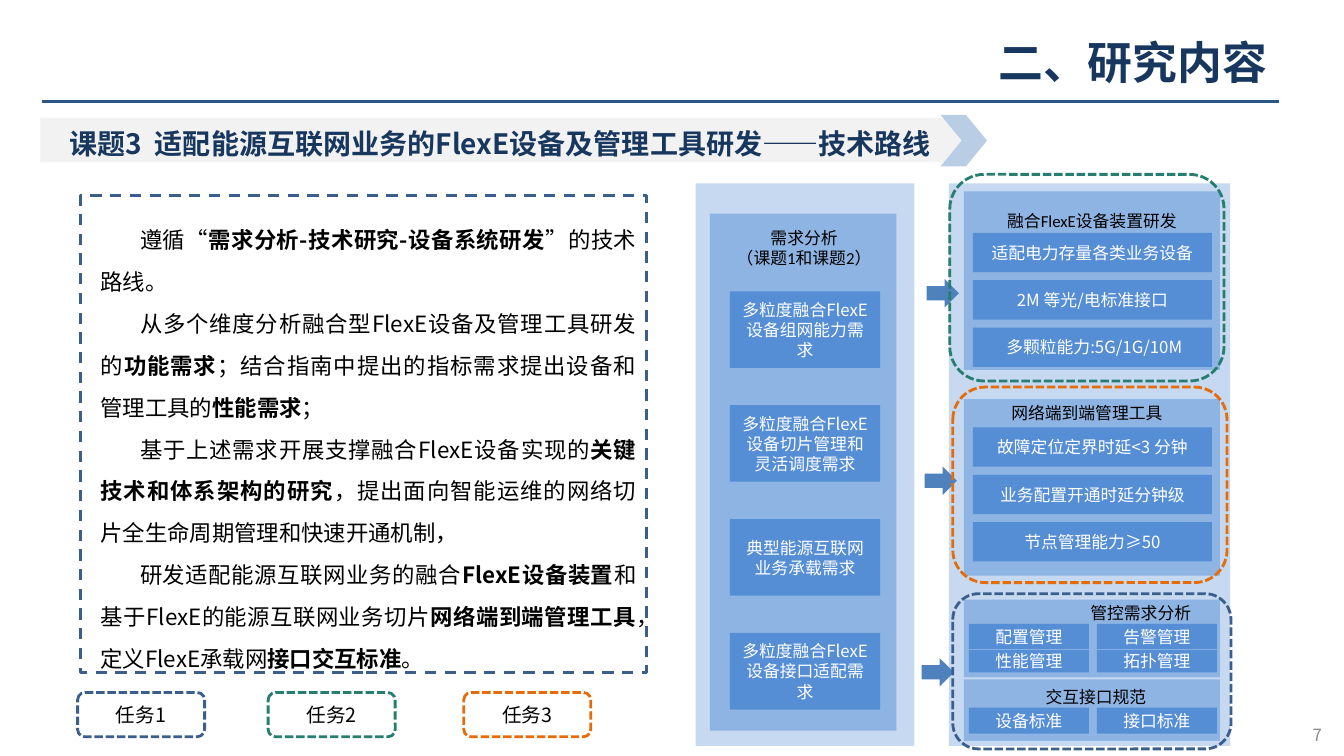
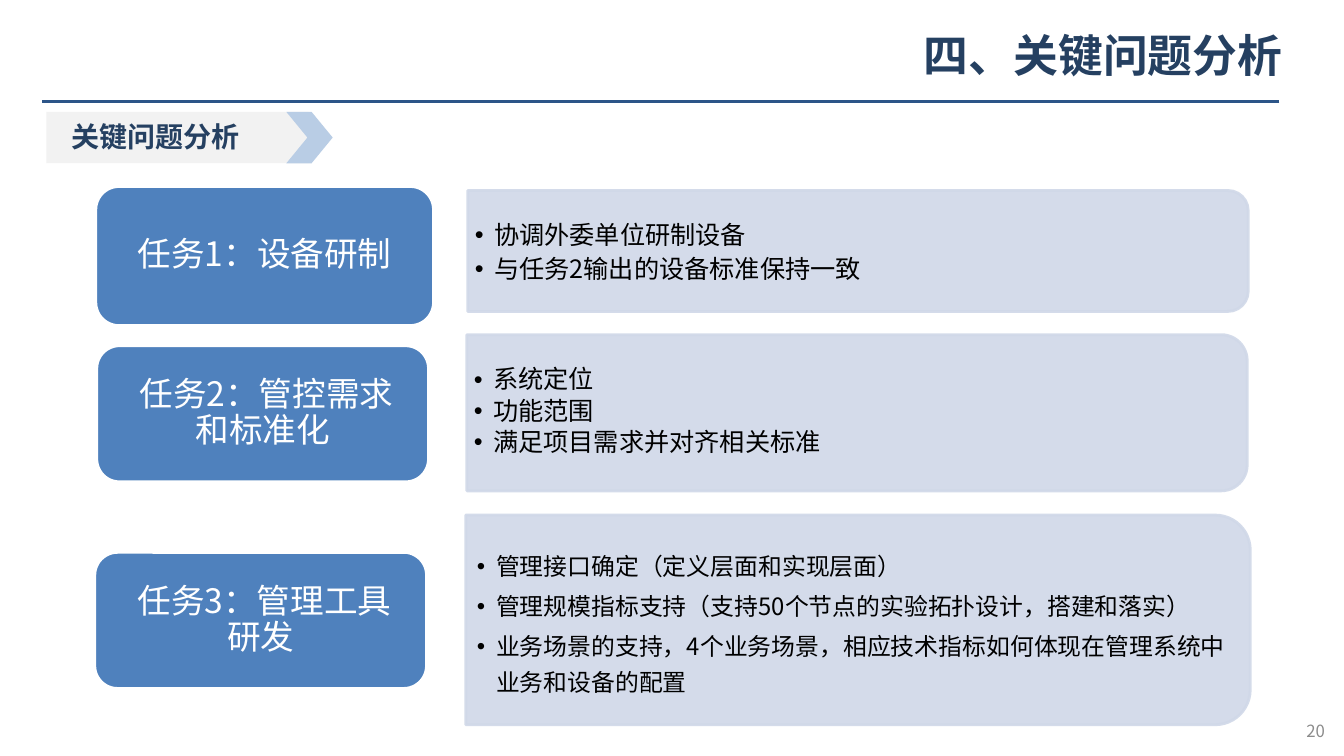
"""Builds two project slides on research content and key issues."""
from lxml import etree
from pptx import Presentation
from pptx.dml.color import RGBColor
from pptx.enum.dml import MSO_LINE
from pptx.enum.shapes import MSO_CONNECTOR, MSO_SHAPE as SHAPE
from pptx.enum.text import MSO_ANCHOR as ANCHOR, PP_ALIGN as ALIGN
from pptx.oxml.ns import qn
from pptx.util import Inches, Pt

COLORS = {
    "navy": "17375E", "slate": "254061", "rule": "2C5588", "band": "F2F2F2",
    "chevron": "B9CDE5", "panel": "C6D9F1", "block": "8EB4E3", "item": "558ED5",
    "accent": "4F81BD", "detail": "D0D8E8", "task1": "3A5F8C", "task2": "257E6F",
    "task3": "E46C0A", "number": "8C8C8C", "black": "000000", "white": "FFFFFF",
}
CJK = "Noto Sans CJK SC"
LATIN = "Calibri"


def rgb(name):
    return RGBColor.from_string(COLORS[name])


class Deck:
    def __init__(self):
        self.prs = Presentation()
        self.prs.slide_width, self.prs.slide_height = Inches(13.33), Inches(7.5)
        self.s = None

    def slide(self, title, number, color, title_right, title_y, number_right, number_y):
        self.s = self.prs.slides.add_slide(self.prs.slide_layouts[6])
        cxn = self.s.shapes.add_connector(
            MSO_CONNECTOR.STRAIGHT, *(Inches(v) for v in (12.69, 1.01, 0.42, 1.01)))
        cxn.line.color.rgb = rgb("rule")
        cxn.line.width = Pt(2.25)
        etree.SubElement(cxn._element.spPr, qn("a:effectLst"))
        self.text((title_right - 5.76, title_y, 5.76, 0.63), title, 32, color,
                  align=ALIGN.RIGHT, bold=True)
        self.text((number_right - 0.6, number_y, 0.6, 0.4), number, 12, "number",
                  align=ALIGN.RIGHT, anchor=ANCHOR.MIDDLE)

    def shape(self, box, fill=None, line=None, kind=SHAPE.RECTANGLE, dash=None):
        sp = self.s.shapes.add_shape(kind, *(Inches(v) for v in box))
        sp.shadow.inherit = False
        if fill:
            sp.fill.solid()
            sp.fill.fore_color.rgb = rgb(fill)
        else:
            sp.fill.background()
        if line:
            sp.line.color.rgb = rgb(line)
            sp.line.width = Pt(2)
            if dash:
                sp.line.dash_style = dash
        else:
            sp.line.fill.background()
        return sp

    def set_text(self, sp, text, size, color, align=ALIGN.CENTER, anchor=ANCHOR.MIDDLE,
                 bold=False, font=CJK, spacing=None, inset=None):
        tf = sp.text_frame
        tf.word_wrap = True
        tf.vertical_anchor = anchor
        if inset is not None:
            tf.margin_left = tf.margin_right = Inches(inset)
            tf.margin_top = tf.margin_bottom = Inches(inset / 2)
        tf.text = text
        for p in tf.paragraphs:
            p.alignment = align
            if spacing:
                p.line_spacing = spacing
            pieces = p.text.split("**")
            p.text = pieces[0]
            for piece in pieces[1:]:
                p.add_run().text = piece
            for i, r in enumerate(p.runs):
                r.font.size = Pt(size)
                r.font.name = font
                r.font.bold = bold or i % 2 == 1
                r.font.color.rgb = rgb(color)
                ea = etree.SubElement(r.font._element, qn("a:ea"))
                ea.set("typeface", CJK)
        return tf

    def text(self, box, text, size, color, anchor=ANCHOR.TOP, **style):
        sp = self.s.shapes.add_textbox(*(Inches(v) for v in box))
        return self.set_text(sp, text, size, color, anchor=anchor, **style)

    def label(self, box, text):
        self.text(box, text, 12, "black", font=LATIN)

    def item(self, box, text):
        self.set_text(self.shape(box, "item"), text, 12, "white")

    def heading(self, text, color, band, text_x, text_y, chevron_x, chevron_y):
        self.shape(band, "band")
        self.text((text_x, text_y, 13.13 - text_x, 0.34), text, 20, color,
                  align=ALIGN.LEFT, bold=True, inset=0)
        sp = self.shape((chevron_x, chevron_y, 0.46, 0.51), "chevron", kind=SHAPE.CHEVRON)
        sp.adjustments[0] = 0.455

    def outline(self, box, color, text=None):
        sp = self.shape(box, None, color, SHAPE.ROUNDED_RECTANGLE, MSO_LINE.SQUARE_DOT)
        if text:
            self.set_text(sp, text, 14, "black")

    def indent(self, tf, first, left=0, bullet=None):
        for p in tf.paragraphs:
            pPr = p._p.get_or_add_pPr()
            pPr.set("marL", str(Inches(left)))
            pPr.set("indent", str(Inches(first)))
            if bullet:
                p.space_after = Pt(3)
                etree.SubElement(pPr, qn("a:buFont")).set("typeface", "Arial")
                etree.SubElement(pPr, qn("a:buChar")).set("char", bullet)

    def detail(self, box, text_box, text, size, spacing):
        x, y, w, h = box
        upright = (x + (w - h) / 2, y + (h - w) / 2, h, w)
        sp = self.shape(upright, "detail", "detail", SHAPE.ROUND_2_SAME_RECTANGLE)
        sp.rotation = 90
        for clr in sp._element.spPr.iter(qn("a:srgbClr")):
            etree.SubElement(clr, qn("a:alpha")).set("val", "90000")
        tf = self.text(text_box, text, size, "black", align=ALIGN.LEFT,
                       anchor=ANCHOR.MIDDLE, spacing=spacing, inset=0.07)
        self.indent(tf, -0.19, 0.19, "•")

    def card(self, box, text):
        sp = self.shape(box, "accent", "white", SHAPE.ROUNDED_RECTANGLE)
        self.set_text(sp, text, 24, "white", spacing=0.9, inset=0.17)


ROUTE = "\n".join([
    "遵循“**需求分析-技术研究-设备系统研发**”的技术路线。",
    "从多个维度分析融合型FlexE设备及管理工具研发的**功能需求**；"
    "结合指南中提出的指标需求提出设备和管理工具的**性能需求**；",
    "基于上述需求开展支撑融合FlexE设备实现的**关键技术和体系架构的研究**，"
    "提出面向智能运维的网络切片全生命周期管理和快速开通机制，",
    "研发适配能源互联网业务的融合**FlexE设备装置**和基于FlexE的能源互联网业务切片"
    "**网络端到端管理工具**，定义FlexE承载网**接口交互标准**。",
])
NEEDS = ["多粒度融合FlexE设备组网能力需求", "多粒度融合FlexE设备切片管理和灵活调度需求",
         "典型能源互联网业务承载需求", "多粒度融合FlexE设备接口适配需求"]
STACKS = [
    (2.31, ["适配电力存量各类业务设备", "2M 等光/电标准接口", " 多颗粒能力:5G/1G/10M"]),
    (4.24, ["故障定位定界时延<3 分钟", "业务配置开通时延分钟级", "节点管理能力≥50"]),
]
PAIRS = [
    (6.19, 0.25, ["配置管理", "告警管理"]),
    (6.45, 0.22, ["性能管理", "拓扑管理"]),
    (7.02, 0.26, ["设备标准", "接口标准"]),
]


def research_slide(d):
    d.slide("二、研究内容", "7", "navy", 12.67, 0.3, 13.21, 7.09)
    d.heading("课题3  适配能源互联网业务的FlexE设备及管理工具研发——技术路线", "navy",
              (0.4, 1.17, 9.13, 0.44), 0.69, 1.26, 9.33, 1.14)
    d.shape((0.8, 1.94, 5.61, 4.73), None, "task1", dash=MSO_LINE.DASH)
    tf = d.text((0.9, 2.04, 5.51, 4.68), ROUTE, 16, "black", align=ALIGN.JUSTIFY,
                spacing=Pt(30))
    d.indent(tf, 0.39)

    d.shape((6.9, 1.82, 2.17, 5.58), "panel")
    d.shape((7.04, 2.12, 1.85, 5.13), "block")
    d.label((6.9, 2.21, 2.15, 0.5), "需求分析\n（课题1和课题2）")
    for i, need in enumerate(NEEDS):
        d.item((7.24, 2.89 + 1.13 * i, 1.49, 0.76), need)

    d.shape((9.41, 1.82, 2.79, 5.58), "panel")
    for y, h in ((1.9, 1.77), (3.96, 1.75), (5.95, 0.77), (6.74, 0.61)):
        d.shape((9.56, y, 2.54, h), "block")
    for box, text in (((9.67, 2.04, 2.32, 0.3), "融合FlexE设备装置研发"),
                      ((9.62, 3.95, 2.32, 0.3), "网络端到端管理工具"),
                      ((9.53, 5.93, 3.57, 0.3), "管控需求分析"),
                      ((10, 6.76, 1.74, 0.3), "交互接口规范")):
        d.label(box, text)
    for y, names in STACKS:
        for i, name in enumerate(names):
            d.item((9.65, y + 0.47 * i, 2.37, 0.39), name)
    for y, h, names in PAIRS:
        for i, name in enumerate(names):
            d.item((9.61 + 1.27 * i, y, 1.19, h), name)

    for x, y in ((9.19, 2.77), (9.17, 4.63), (9.14, 6.53)):
        d.shape((x, y, 0.32, 0.28), "accent", kind=SHAPE.RIGHT_ARROW)
    d.outline((9.45, 5.89, 2.76, 1.54), "task1")
    d.outline((9.42, 1.73, 2.72, 2.05), "task2")
    d.outline((9.45, 3.84, 2.72, 1.94), "task3")
    for i, x in enumerate((0.77, 2.66, 4.6), 1):
        d.outline((x, 6.87, 1.26, 0.44), f"task{i}", f"任务{i}")


def issues_slide(d):
    d.slide("四、关键问题分析", "20", "slate", 12.82, 0.23, 13.24, 7.05)
    d.heading("关键问题分析", "slate", (0.46, 1.11, 2.6, 0.51), 0.71, 1.19, 2.84, 1.11)
    d.detail((4.64, 1.89, 7.74, 1.2), (4.64, 1.95, 7.68, 1.09),
             "协调外委单位研制设备\n与任务2输出的设备标准保持一致", 18, 1.0)
    d.detail((4.63, 3.32, 7.74, 1.55), (4.63, 3.39, 7.66, 1.4),
             "系统定位\n功能范围\n满足项目需求并对齐相关标准", 18, 0.9)
    d.detail((4.62, 5.11, 7.78, 2.08), (4.66, 5.32, 7.69, 1.67),
             "管理接口确定（定义层面和实现层面）\n"
             "管理规模指标支持（支持50个节点的实验拓扑设计，搭建和落实）\n"
             "业务场景的支持，4个业务场景，相应技术指标如何体现在管理系统中业务和设备的配置",
             17, 1.25)
    d.card((0.95, 1.85, 3.35, 1.38), "任务1：设备研制")
    d.card((0.96, 3.43, 3.29, 1.35), " 任务2：管控需求和标准化")
    d.card((0.94, 5.48, 3.29, 1.35), " 任务3：管理工具研发")


def main():
    d = Deck()
    research_slide(d)
    issues_slide(d)
    d.prs.save("out.pptx")


if __name__ == "__main__":
    main()
